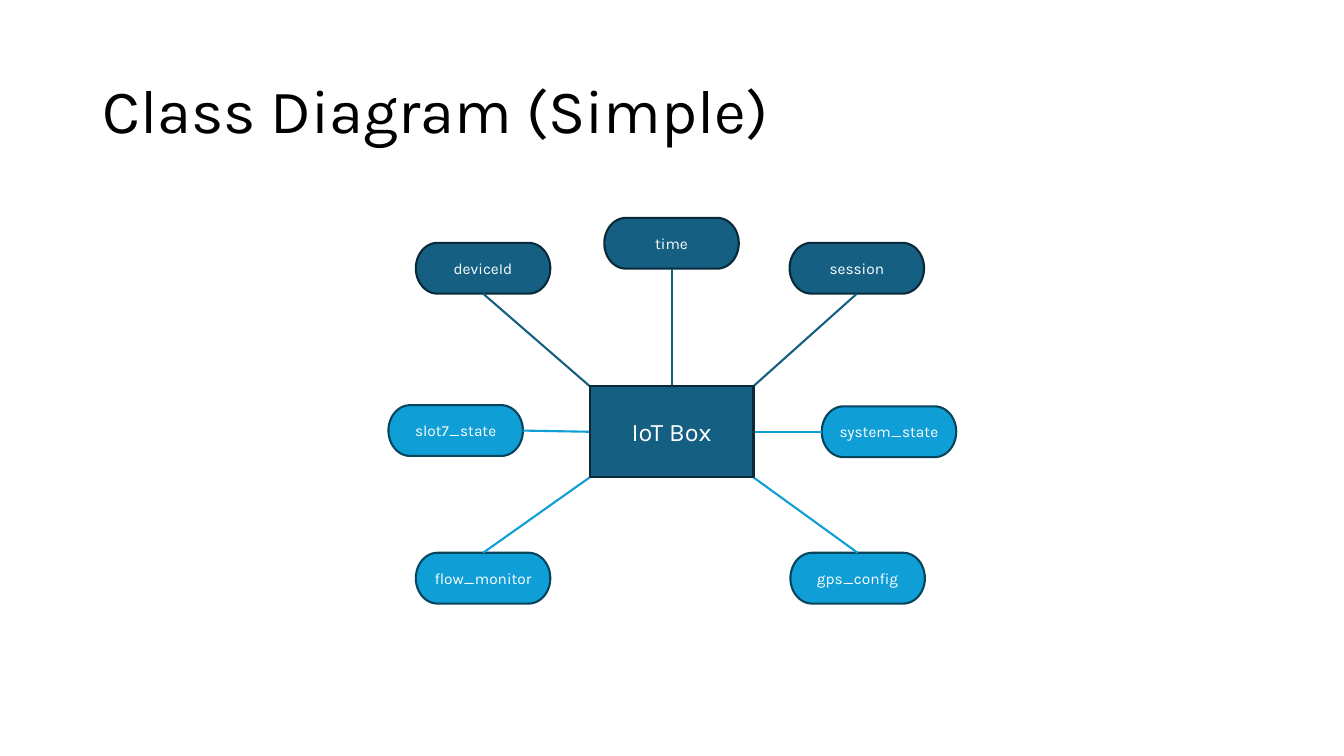
from typing import NamedTuple

from lxml.etree import SubElement
from pptx import Presentation
from pptx.dml.color import RGBColor
from pptx.enum.shapes import MSO_CONNECTOR, MSO_SHAPE
from pptx.enum.text import MSO_ANCHOR, PP_ALIGN
from pptx.oxml.ns import qn
from pptx.shapes.autoshape import Shape
from pptx.slide import Slide
from pptx.util import Cm, Pt

FONT = "Karla"
NAVY, NAVY_EDGE = "156082", "092A39"
SKY, SKY_EDGE = "0F9ED5", "07455D"
WHITE, BLACK = "FFFFFF", "000000"
STROKE = Pt(1.5)

NODE_WIDTH, NODE_HEIGHT = 3.39, 1.28
HUB_LEFT, HUB_TOP, HUB_WIDTH, HUB_HEIGHT = 14.86, 9.73, 4.13, 2.3

# Connection sites of a terminator shape
TOP, LEFT, BOTTOM, RIGHT = range(4)


class Node(NamedTuple):
    """A class member; hub_x and hub_y are fractions of the hub's size."""
    label: str
    left: float
    top: float
    fill: str
    edge: str
    site: int
    hub_x: float
    hub_y: float


NODES = [
    Node("deviceId", 10.48, 6.12, NAVY, NAVY_EDGE, BOTTOM, 0, 0),
    Node("time", 15.23, 5.49, NAVY, NAVY_EDGE, BOTTOM, 0.5, 0),
    Node("session", 19.9, 6.12, NAVY, NAVY_EDGE, BOTTOM, 1, 0),
    Node("slot7_state", 9.79, 10.21, SKY, SKY_EDGE, RIGHT, 0, 0.5),
    Node("system_state", 20.71, 10.24, SKY, SKY_EDGE, LEFT, 1, 0.5),
    Node("flow_monitor", 10.48, 13.93, SKY, SKY_EDGE, TOP, 0, 1),
    Node("gps_config", 19.92, 13.93, SKY, SKY_EDGE, TOP, 1, 1),
]


def color(value: str) -> RGBColor:
    return RGBColor.from_string(value)


def write(box: Shape, text: str, size: int, ink: str, align: PP_ALIGN) -> None:
    frame = box.text_frame
    frame.text = text
    frame.word_wrap = True
    frame.vertical_anchor = MSO_ANCHOR.MIDDLE
    para = frame.paragraphs[0]
    para.alignment = align
    for span in para.runs:
        span.font.name = FONT
        span.font.size = Pt(size)
        span.font.color.rgb = color(ink)


def add_block(page: Slide, kind: MSO_SHAPE, left: float, top: float, width: float,
              height: float, fill: str, edge: str, text: str, size: int) -> Shape:
    block = page.shapes.add_shape(kind, Cm(left), Cm(top), Cm(width), Cm(height))
    block.shadow.inherit = False
    block.fill.solid()
    block.fill.fore_color.rgb = color(fill)
    block.line.color.rgb = color(edge)
    block.line.width = STROKE
    write(block, text, size, WHITE, PP_ALIGN.CENTER)
    return block


def link_to_hub(page: Slide, node: Node, block: Shape) -> None:
    end_x = Cm(HUB_LEFT + node.hub_x * HUB_WIDTH)
    end_y = Cm(HUB_TOP + node.hub_y * HUB_HEIGHT)
    link = page.shapes.add_connector(
        MSO_CONNECTOR.STRAIGHT, block.left, block.top, end_x, end_y)
    link.begin_connect(block, node.site)
    link.line.color.rgb = color(node.fill)
    link.line.width = STROKE
    SubElement(link._element.spPr, qn("a:effectLst"))


def add_title(page: Slide, text: str) -> None:
    title = page.shapes.add_textbox(Cm(2.33), Cm(1.01), Cm(29.21), Cm(3.68))
    write(title, text, 44, BLACK, PP_ALIGN.LEFT)
    title.text_frame.paragraphs[0].line_spacing = 0.9


def main() -> None:
    deck = Presentation()
    deck.slide_width, deck.slide_height = Cm(33.87), Cm(19.05)
    page = deck.slides.add_slide(deck.slide_layouts[6])
    add_title(page, "Class Diagram (Simple)")
    for node in NODES:
        block = add_block(page, MSO_SHAPE.FLOWCHART_TERMINATOR, node.left, node.top,
                          NODE_WIDTH, NODE_HEIGHT, node.fill, node.edge, node.label, 11)
        link_to_hub(page, node, block)
    add_block(page, MSO_SHAPE.FLOWCHART_PROCESS, HUB_LEFT, HUB_TOP,
              HUB_WIDTH, HUB_HEIGHT, NAVY, NAVY_EDGE, "IoT Box", 18)
    deck.save("out.pptx")


if __name__ == "__main__":
    main()
